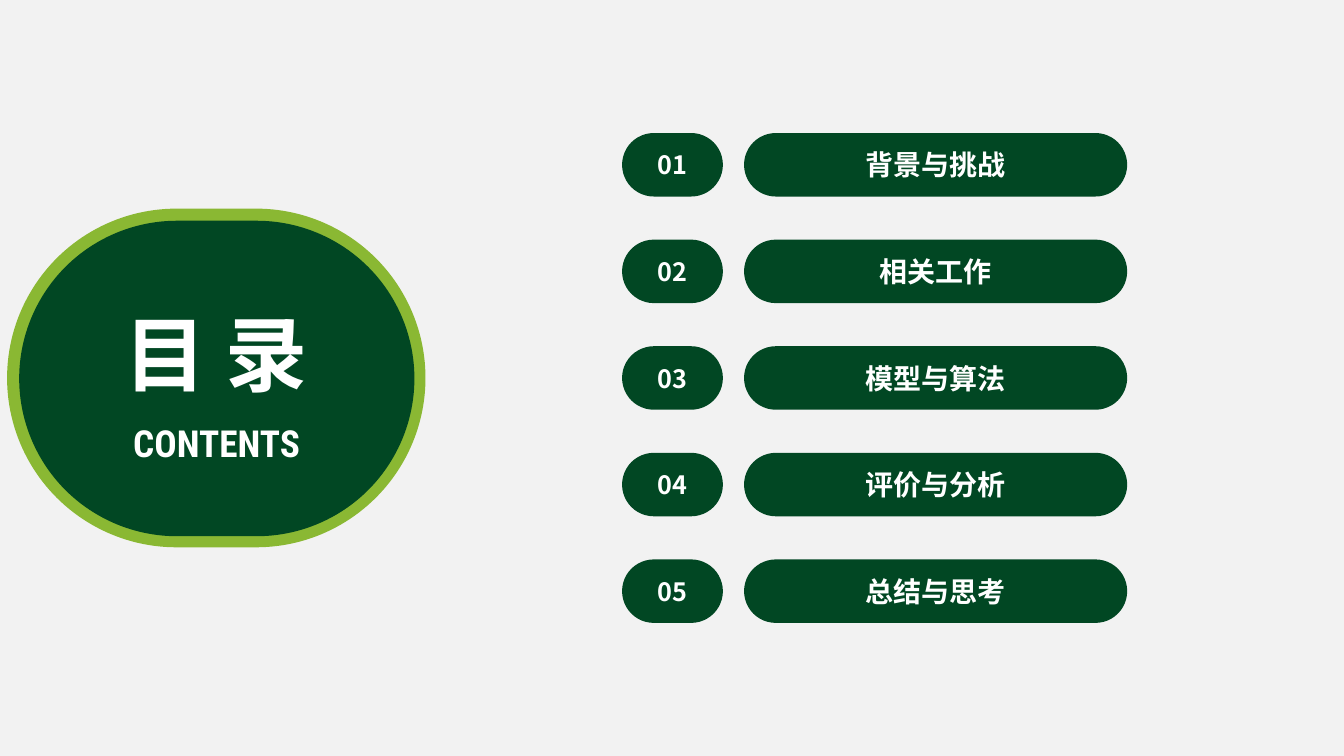
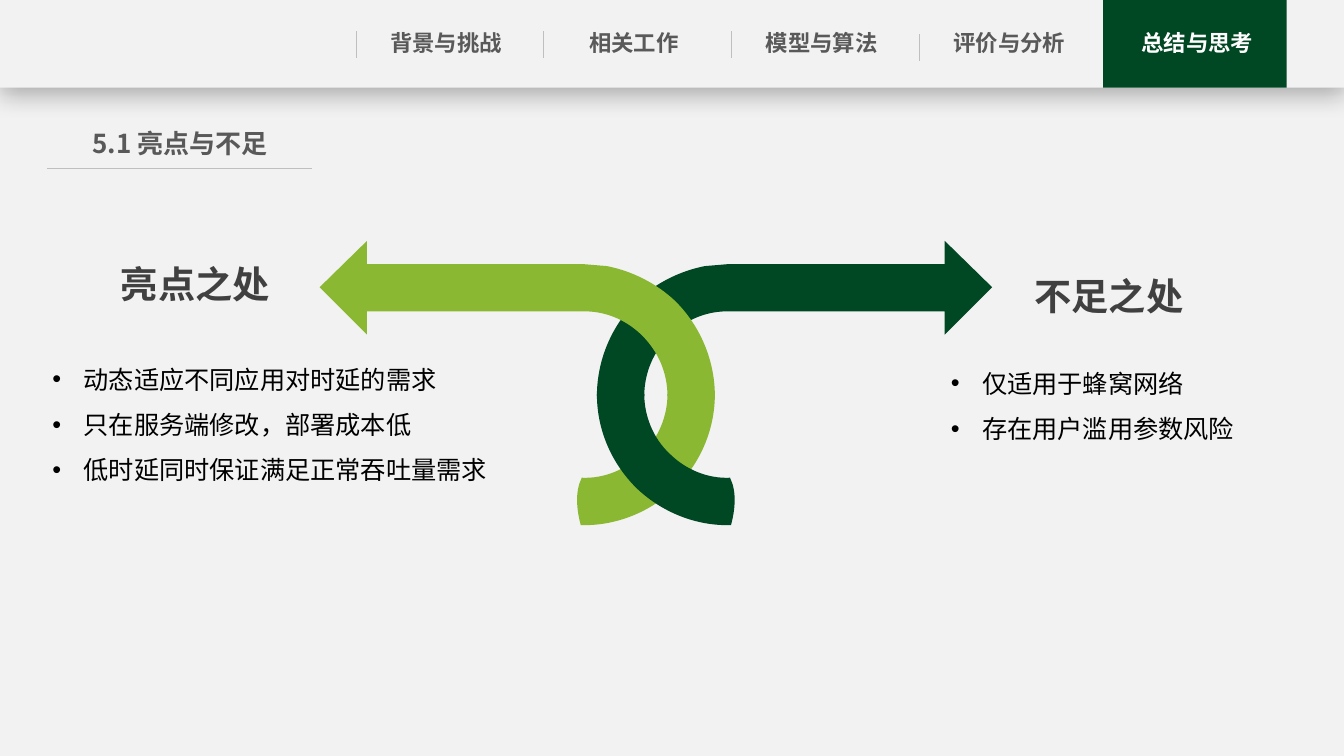
from lxml import etree
from pptx import Presentation, util as u
from pptx.dml.color import RGBColor
from pptx.enum import shapes, text
from pptx.oxml.ns import qn

WIDTH, HEIGHT = 13.33, 7.5
CJK, LATIN = "Noto Sans CJK SC", "Roboto Condensed"
PAPER, PINE, FOREST, LIME = "F2F2F2", "014723", "004723", "8AB833"
WHITE, BLACK, HEADING, MUTED, RULE = "FFFFFF", "000000", "404040", "595959", "BFBFBF"

CHAPTERS = ["背景与挑战", "相关工作", "模型与算法", "评价与分析", "总结与思考"]
ACTIVE = 4
SIDES = [
    ("亮点之处", (1.1, 2.54, 1.7, 0.55), (0.42, 3.41, 4.66, 1.41),
     ["动态适应不同应用对时延的需求", "只在服务端修改，部署成本低", "低时延同时保证满足正常吞吐量需求"]),
    ("不足之处", (10.16, 2.66, 1.7, 0.55), (9.33, 3.45, 4.66, 0.96),
     ["仅适用于蜂窝网络", "存在用户滥用参数风险"]),
]

MIRROR = 13.01
ARROW = [
    (9.37, 2.39), (9.84, 2.85), (9.37, 3.32), (9.37, 3.09), (7.24, 3.09),
    (7.02, 3.08, 6.8, 3.17, 6.64, 3.33), (6.48, 3.49, 6.39, 3.7, 6.39, 3.93),
    (5.92, 3.93), (5.92, 3.58, 6.06, 3.24, 6.31, 2.99),
    (6.5, 2.81, 6.74, 2.69, 6.99, 2.64), (7.23, 2.62), (9.37, 2.62),
]
TAIL = [
    (5.92, 3.91), (5.92, 4.26, 6.06, 4.59, 6.31, 4.84),
    (6.56, 5.08, 6.9, 5.22, 7.25, 5.21), (7.29, 5.06, 7.31, 4.88, 7.24, 4.74),
    (7.02, 4.75, 6.8, 4.66, 6.64, 4.5), (6.48, 4.35, 6.39, 4.13, 6.39, 3.91),
]
RIBBONS = [(ARROW, FOREST, False), (ARROW, LIME, True),
           (TAIL, LIME, True), (TAIL, FOREST, False)]


def rgb(color):
    return RGBColor.from_string(color)


def paint(shape, color):
    shape.shadow.inherit = False
    shape.fill.solid()
    shape.fill.fore_color.rgb = rgb(color)
    shape.line.fill.background()
    return shape


def block(slide, preset, at, color):
    return paint(slide.shapes.add_shape(preset, *map(u.Inches, at)), color)


def pill(slide, at, color):
    shape = block(slide, shapes.MSO_SHAPE.ROUNDED_RECTANGLE, at, color)
    shape.adjustments[0] = 0.5
    return shape


def write(shape, lines, size, color, bold=True, font=CJK, center=True,
          middle=False, side=0.1, wrap=True):
    frame = shape.text_frame
    frame.text = "\n".join(lines)
    frame.auto_size = text.MSO_AUTO_SIZE.NONE
    frame.word_wrap = wrap
    frame.vertical_anchor = text.MSO_ANCHOR.MIDDLE if middle else text.MSO_ANCHOR.TOP
    frame.margin_left = frame.margin_right = u.Inches(side)
    frame.margin_top = frame.margin_bottom = u.Inches(0.05)
    for paragraph in frame.paragraphs:
        paragraph.alignment = text.PP_ALIGN.CENTER if center else text.PP_ALIGN.LEFT
        for run in paragraph.runs:
            run.font.size = u.Pt(size)
            run.font.bold = bold
            run.font.color.rgb = rgb(color)
            run.font.name = font
            etree.SubElement(run.font._element, qn("a:ea"), typeface=font)


def label(slide, at, words, size, color, **style):
    write(slide.shapes.add_textbox(*map(u.Inches, at)), [words], size, color, **style)


def place(holder, at):
    holder.left, holder.top, holder.width, holder.height = map(u.Inches, at)
    return holder


def title(slide, at, words, size, color, **style):
    heading = place(slide.shapes.title, at)
    write(heading, [words], size, color, **style)
    heading.element.getparent().append(heading.element)


def bullets(holder, at, lines):
    write(place(holder, at), lines, 18, BLACK, bold=False, center=False)
    for paragraph in holder.text_frame.paragraphs:
        paragraph.line_spacing = 1.5
        paragraph.space_before = u.Pt(0)
        props = paragraph._p.get_or_add_pPr()
        props.set("marL", str(u.Inches(0.31)))
        props.set("indent", str(-u.Inches(0.31)))
        etree.SubElement(props, qn("a:buFont"), typeface="Arial")
        etree.SubElement(props, qn("a:buChar"), char="•")


def rule(slide, *ends):
    line = slide.shapes.add_connector(shapes.MSO_CONNECTOR.STRAIGHT, *map(u.Inches, ends))
    line.line.color.rgb = rgb(RULE)
    line.line.width = u.Pt(0.5)
    etree.SubElement(line._element.spPr, qn("a:effectLst"))


def drop_shadow(shape):
    effects = shape._element.spPr.find(qn("a:effectLst"))
    shadow = etree.SubElement(effects, qn("a:outerShdw"), blurRad=str(u.Pt(18)),
                              dist=str(u.Pt(4)), dir="5400000", algn="t", rotWithShape="0")
    tint = etree.SubElement(shadow, qn("a:srgbClr"), val=BLACK)
    etree.SubElement(tint, qn("a:alpha"), val="29000")


def ribbon(slide, outline, color, mirrored):
    points = [(u.Inches(MIRROR - x if mirrored else x), u.Inches(y))
              for part in outline for x, y in zip(part[::2], part[1::2])]
    builder = slide.shapes.build_freeform(*points[0])
    builder.add_line_segments(points[1:], close=True)
    shape = paint(builder.convert_to_shape(), color)
    segments = iter(list(shape._element.iter(qn("a:lnTo"))))
    for part in outline[1:]:
        first = next(segments)
        if len(part) == 6:
            curve = etree.Element(qn("a:cubicBezTo"))
            first.addprevious(curve)
            for segment in (first, next(segments), next(segments)):
                curve.append(segment[0])
                segment.getparent().remove(segment)


def chapter_bar(slide, active):
    bar, step = 0.87, (11.14 - 3.69) / (len(CHAPTERS) - 1)
    drop_shadow(block(slide, shapes.MSO_SHAPE.RECTANGLE, (0, 0, WIDTH, bar), PAPER))
    block(slide, shapes.MSO_SHAPE.RECTANGLE, (3.49 + step * active, 0, 1.82, bar), FOREST)
    for i, chapter in enumerate(CHAPTERS):
        label(slide, (3.69 + step * i, 0.24, 1.47, 0.37), chapter, 16,
              WHITE if i == active else MUTED, side=0)
        if i != active:
            x, top = 3.53 + step * i, 0.34 if i == active - 1 else 0.31
            rule(slide, x, top, x, top + 0.27)


def backdrop(prs, slide):
    panel = block(slide, shapes.MSO_SHAPE.RECTANGLE, (0, 0, WIDTH, HEIGHT), PAPER)
    prs.slide_master.shapes._spTree.insert(2, panel.element)


def contents_slide(prs):
    slide = prs.slides.add_slide(prs.slide_layouts[5])
    backdrop(prs, slide)
    pill(slide, (0.07, 2.07, 4.15, 3.36), LIME)
    pill(slide, (0.19, 2.19, 3.92, 3.13), PINE)
    step = (5.55 - 1.32) / (len(CHAPTERS) - 1)
    for i, chapter in enumerate(CHAPTERS):
        top = 1.32 + step * i
        for left, width, words, size in ((6.17, 1, f"{i + 1:02}", 18), (7.38, 3.8, chapter, 20)):
            write(pill(slide, (left, top, width, 0.63), PINE), [words], size, WHITE, middle=True)
    label(slide, (1.02, 4.12, 2.26, 0.55), "CONTENTS", 26.6, WHITE, font=LATIN, wrap=False)
    title(slide, (1.1, 2.96, 2.09, 1.09), "目 录", 58.6, WHITE, wrap=False)


def review_slide(prs):
    slide = prs.slides.add_slide(prs.slide_layouts[3])
    chapter_bar(slide, ACTIVE)
    title(slide, (0.75, 1.21, 2.07, 0.4), "5.1 亮点与不足", 18.6, MUTED, side=0)
    rule(slide, 0.47, 1.67, 3.09, 1.67)
    for outline, color, mirrored in RIBBONS:
        ribbon(slide, outline, color, mirrored)
    for index, (heading, heading_at, list_at, lines) in enumerate(SIDES, 1):
        label(slide, heading_at, heading, 26.6, HEADING, center=False, wrap=False)
        bullets(slide.placeholders[index], list_at, lines)


def main():
    prs = Presentation()
    prs.slide_width, prs.slide_height = u.Inches(WIDTH), u.Inches(HEIGHT)
    contents_slide(prs)
    review_slide(prs)
    prs.save("out.pptx")


if __name__ == "__main__":
    main()
